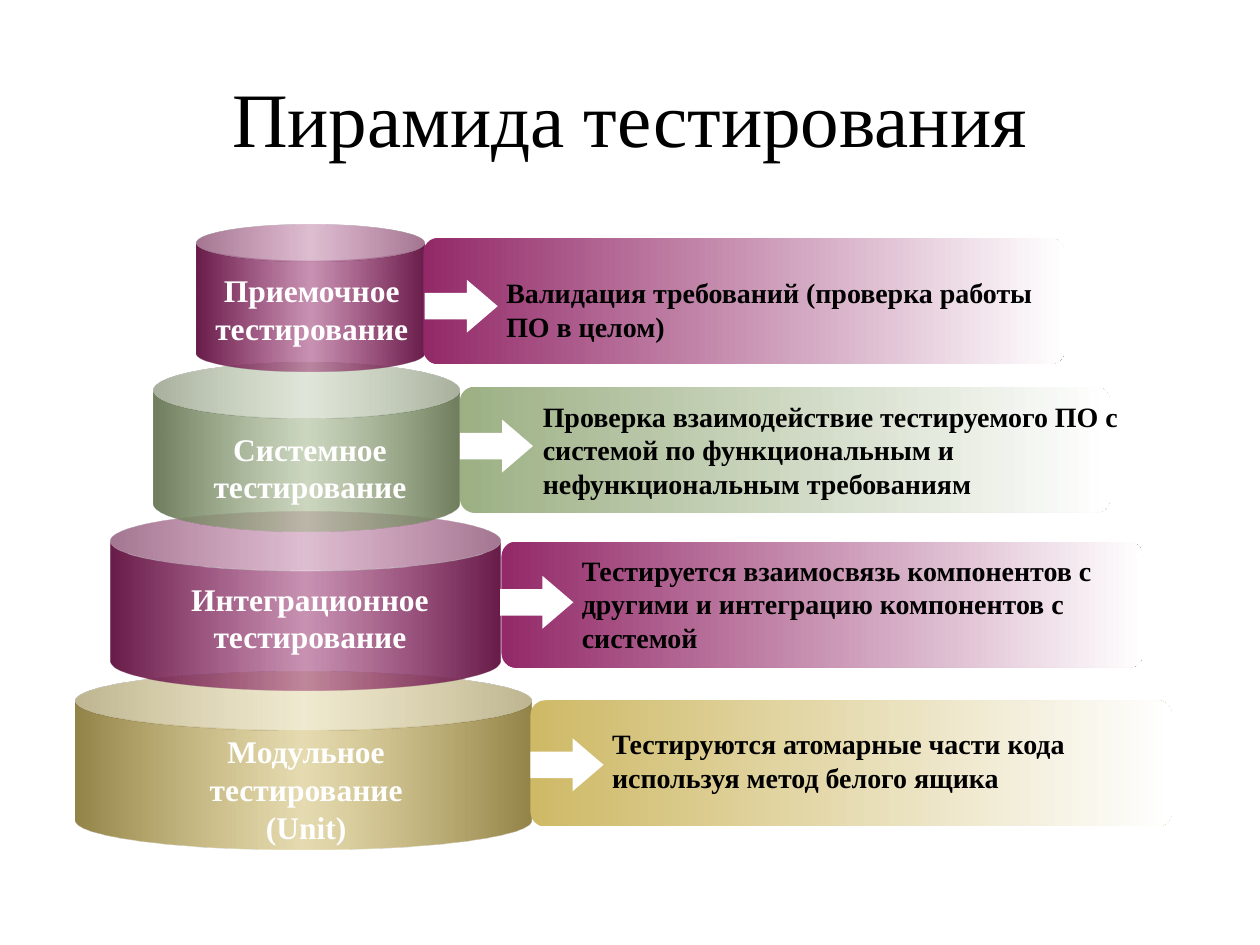
from typing import NamedTuple

from lxml.etree import SubElement
from pptx import Presentation
from pptx.dml.color import RGBColor
from pptx.enum.shapes import MSO_SHAPE as Kind
from pptx.enum.text import MSO_ANCHOR as Anchor, PP_ALIGN as Align
from pptx.oxml.ns import qn
from pptx.util import Inches, Pt

FONT = "Times New Roman"
PLUM, SAGE, GOLD = ("691D4A", "932968"), ("707E5E", "9CB084"), ("938449", "CEB966")


class Box(NamedTuple):
    x: float
    y: float
    w: float
    h: float


class Tier(NamedTuple):
    tone: tuple[str, str]
    can: Box
    lid: float
    label: str
    name: Box
    bar: Box
    note: str
    text: Box
    arrow: tuple[float, float]


TIERS = [
    Tier(GOLD, Box(0.6, 5.33, 3.62, 1.41), 0.332,
         "Модульное тестирование (Unit)", Box(1.3, 5.76, 2.26, 1.01),
         Box(4.21, 5.56, 5.09, 1),
         "Тестируются атомарные части кода используя метод белого ящика",
         Box(4.76, 5.72, 4.65, 1.09), (4.21, 5.86)),
    Tier(PLUM, Box(0.88, 4.06, 3.09, 1.42), 0.332,
         "Интеграционное\nтестирование", Box(1.25, 4.55, 2.42, 0.71),
         Box(3.98, 4.3, 5.09, 1),
         "Тестируется взаимосвязь компонентов с другими и интеграцию компонентов с системой",
         Box(4.52, 4.34, 4.8, 0.91), (3.97, 4.57)),
    Tier(SAGE, Box(1.22, 2.88, 2.43, 1.34), 0.332,
         "Системное\nтестирование", Box(1.25, 3.36, 2.42, 0.71),
         Box(3.65, 3.07, 5.16, 1),
         "Проверка взаимодействие тестируемого ПО с системой по функциональным и "
         "нефункциональным требованиям",
         Box(4.21, 3.12, 4.78, 0.91), (3.65, 3.33)),
    Tier(PLUM, Box(1.56, 1.78, 1.81, 1.17), 0.25,
         "Приемочное тестирование", Box(1.31, 2.1, 2.33, 0.71),
         Box(3.36, 1.89, 5.09, 1),
         "Валидация требований (проверка работы ПО в целом)",
         Box(3.92, 2.14, 4.53, 0.64), (3.37, 2.22)),
]


def color(code: str) -> RGBColor:
    return RGBColor.from_string(code)


def add_text(slide, box: Box, text: str, *, size: int, ink: str = "000000",
             bold: bool = True, align=Align.LEFT, anchor=Anchor.TOP) -> None:
    frame = slide.shapes.add_textbox(*map(Inches, box)).text_frame
    frame.word_wrap = True
    frame.vertical_anchor = anchor
    frame.text = text
    for para in frame.paragraphs:
        para.alignment = align
        font = para.font
        font.name, font.size, font.bold = FONT, Pt(size), bold
        font.color.rgb = color(ink)


def add_form(slide, kind, box: Box, *adjust: float):
    """Add a preset shape without line or shadow."""
    form = slide.shapes.add_shape(kind, *map(Inches, box))
    form.shadow.inherit = False
    form.line.fill.background()
    for i, value in enumerate(adjust):
        form.adjustments[i] = value
    return form


def blend(form, *stops: tuple[int, str, int]) -> None:
    """Fill from left to right; a stop is percent, colour, percent opacity."""
    form.fill.gradient()
    form.fill.gradient_angle = 0
    row = next(form._element.spPr.iter(qn("a:gsLst")))
    for old in list(row):
        row.remove(old)
    for place, code, alpha in stops:
        stop = SubElement(row, qn("a:gs"), pos=str(place * 1000))
        tint = SubElement(stop, qn("a:srgbClr"), val=code)
        if alpha < 100:
            SubElement(tint, qn("a:alpha"), val=str(alpha * 1000))


def add_tier(slide, tier: Tier) -> None:
    dark, light = tier.tone
    can = add_form(slide, Kind.CAN, tier.can, tier.lid)
    blend(can, (0, dark, 100), (50, light, 50), (100, dark, 100))
    bar = add_form(slide, Kind.ROUNDED_RECTANGLE, tier.bar, 0.115)
    blend(bar, (0, light, 100), (100, "FFFFFF", 100))
    add_text(slide, tier.text, tier.note, size=16)
    arrow = add_form(slide, Kind.RIGHT_ARROW, Box(*tier.arrow, 0.58, 0.42), 0.5, 0.583)
    arrow.fill.solid()
    arrow.fill.fore_color.rgb = color("FFFFFF")
    add_text(slide, tier.name, tier.label, size=18, ink="FFFFFF", align=Align.CENTER)


def main() -> None:
    deck = Presentation()
    deck.slide_width, deck.slide_height = Inches(10), Inches(7.5)
    slide = deck.slides.add_slide(deck.slide_layouts[6])
    add_text(slide, Box(0.5, 0.3, 9, 1.25), "Пирамида тестирования", size=44,
             bold=False, align=Align.CENTER, anchor=Anchor.MIDDLE)
    for tier in TIERS:
        add_tier(slide, tier)
    deck.save("out.pptx")


if __name__ == "__main__":
    main()
